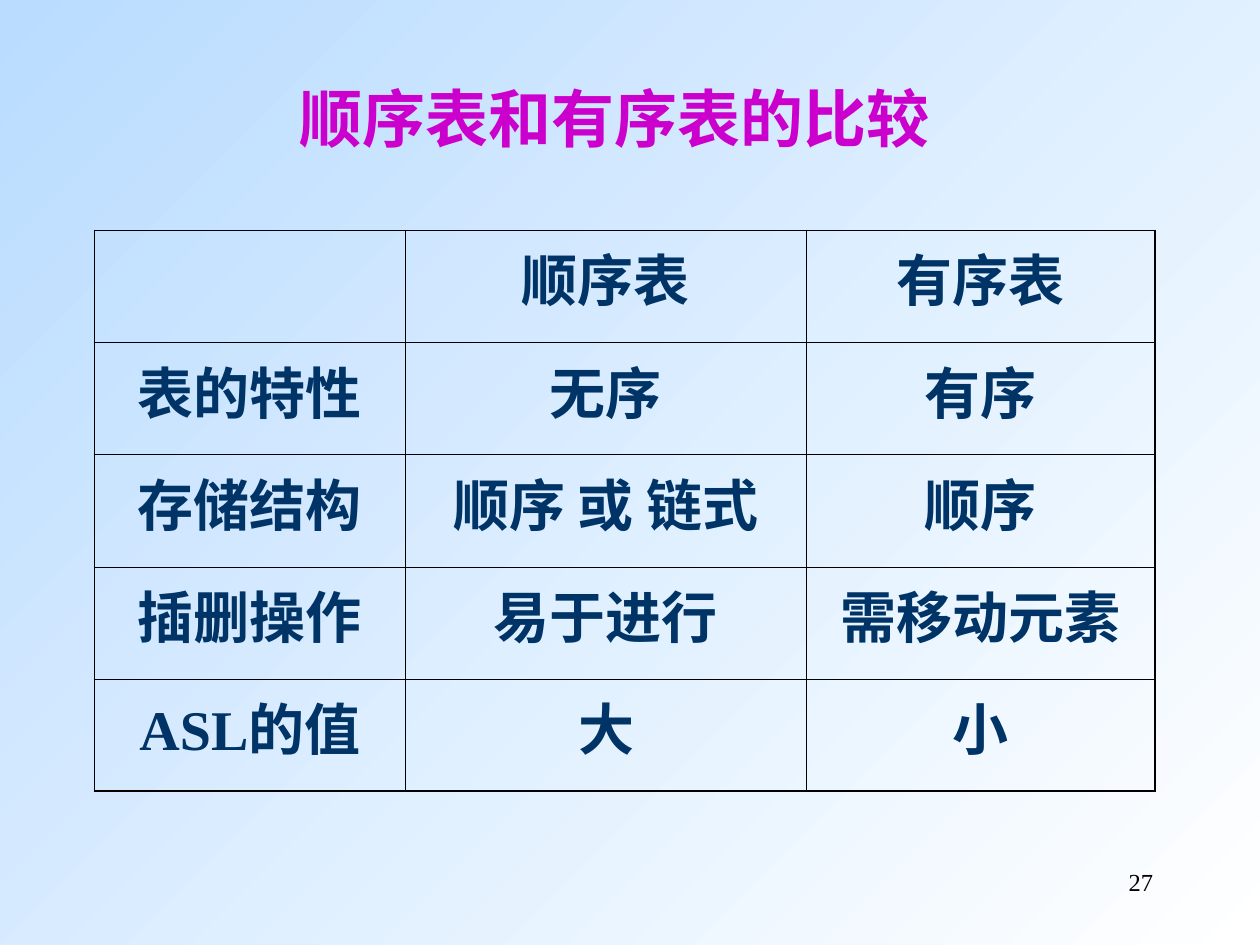
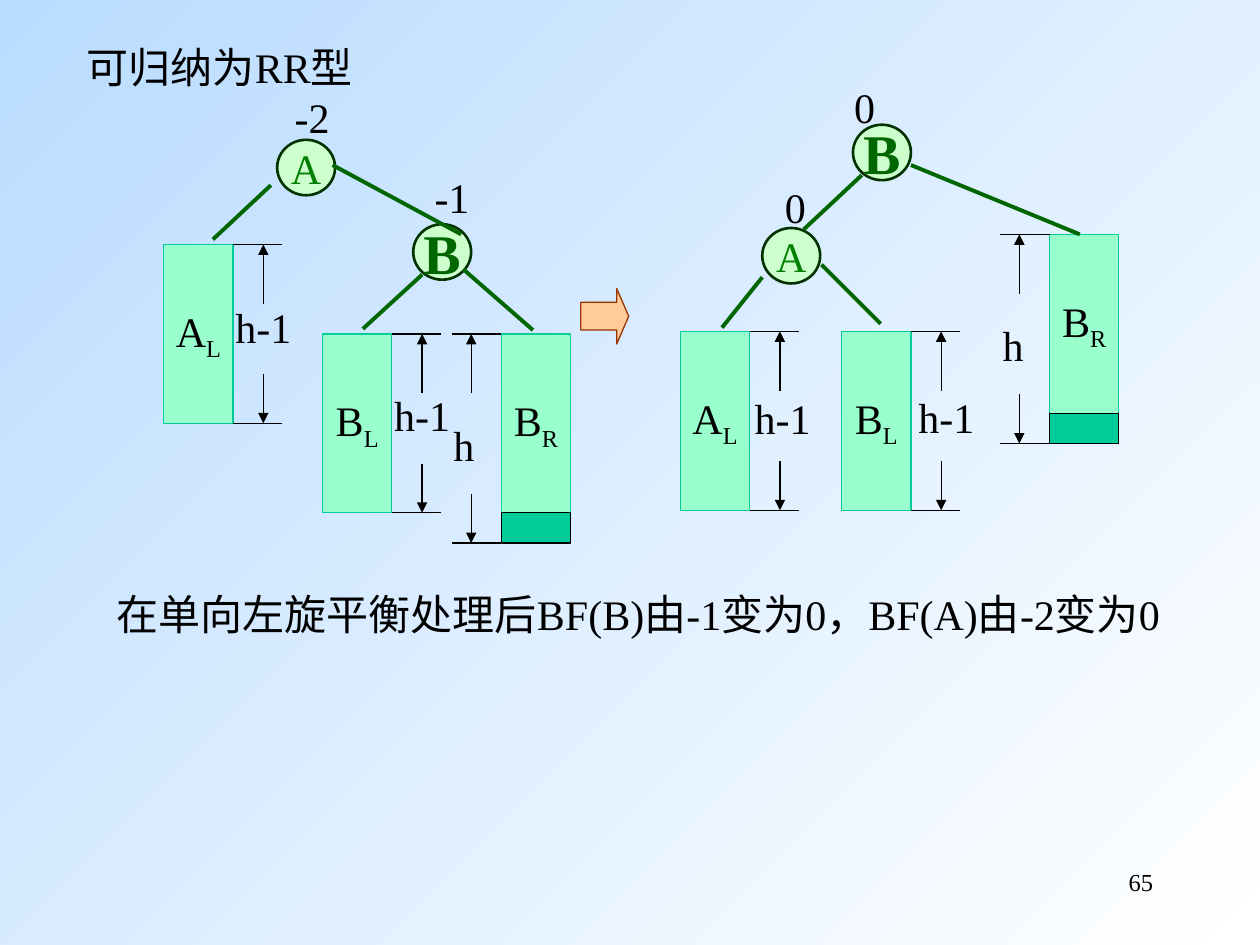
"""Build two slides: a list comparison table and an RR tree rotation."""
from lxml import etree
from pptx import Presentation
from pptx.dml.color import RGBColor
from pptx.enum import shapes, text
from pptx.oxml import ns
from pptx.util import Inches, Pt

FONT = "Times New Roman"
BLACK = RGBColor(0x00, 0x00, 0x00)
SKY = RGBColor(0xB9, 0xDC, 0xFF)
WHITE = RGBColor(0xFF, 0xFF, 0xFF)
PINK = RGBColor(0xCC, 0x00, 0xCC)
NAVY = RGBColor(0x00, 0x33, 0x66)
LEAF = RGBColor(0x00, 0x80, 0x00)
GREEN = RGBColor(0x00, 0x66, 0x00)
DARK = RGBColor(0x00, 0x33, 0x00)
PALE = RGBColor(0xCC, 0xFF, 0xCC)
MINT = RGBColor(0x99, 0xFF, 0xCC)
TEAL = RGBColor(0x00, 0xCC, 0x99)
PEACH = RGBColor(0xFF, 0xCC, 0x99)
RUST = RGBColor(0x99, 0x33, 0x00)

TITLE = "顺序表和有序表的比较"
ROWS = [
    ("", "顺序表", "有序表"),
    ("表的特性", "无序", "有序"),
    ("存储结构", "顺序 或 链式", "顺序"),
    ("插删操作", "易于进行", "需移动元素"),
    ("ASL的值", "大", "小"),
]
COLS = (2.47, 3.18, 2.77)
ROW_H = 0.89
THICK, THIN = 1.08, 0.45

HEAD = "可归纳为RR型"
NOTE = "在单向左旋平衡处理后BF(B)由-1变为0，BF(A)由-2变为0"
NODES = [("A", 2.2, 1.11), ("B", 3.28, 1.78), ("A", 6.05, 1.81), ("B", 6.77, 0.99)]
STYLES = {"A": (24, LEAF, False), "B": (32, GREEN, True)}
TOWERS = [
    ("A", "L", 1.3, 1.94),
    ("B", "L", 2.56, 2.65),
    ("B", "R", 3.98, 2.65),
    ("A", "L", 5.4, 2.63),
    ("B", "L", 6.68, 2.63),
    ("B", "R", 8.33, 1.86),
]
EDGES = [
    (2.15, 1.47, 1.69, 1.9), (3.66, 1.86, 2.64, 1.31),
    (3.35, 2.18, 2.88, 2.61), (4.23, 2.62, 3.68, 2.14),
    (6.84, 1.39, 6.38, 1.82), (8.57, 1.86, 7.23, 1.31),
    (5.73, 2.6, 6.05, 2.2), (6.99, 2.57, 6.52, 2.1),
]
LABELS = [
    ("-2", 2.24, 0.68, 0.71), ("-1", 3.35, 1.31, 0.71),
    ("0", 6.68, 0.6, 0.39), ("0", 6.13, 1.39, 0.39),
    ("h-1", 1.77, 2.34, 0.87), ("h-1", 3.03, 3.04, 0.94),
    ("h", 3.5, 3.28, 0.94), ("h-1", 5.89, 3.07, 0.94),
    ("h-1", 7.19, 3.06, 0.94), ("h", 7.86, 2.49, 0.94),
]
NODE_W, NODE_H = 0.46, 0.44
TOWER_W, TOWER_H, BASE_H = 0.55, 1.42, 0.24
TICK, STEM = 0.39, 0.24
DROP, RISE = 0.47, 0.39


def style(para, size, color=BLACK, bold=False, align=text.PP_ALIGN.LEFT):
    para.alignment = align
    for run in para.runs:
        font = run.font
        font.name, font.size, font.bold = FONT, Pt(size), bold
        font.color.rgb = color


def write(slide, words, x, y, w, h=0.5, size=24, **look):
    frame = slide.shapes.add_textbox(*map(Inches, (x, y, w, h))).text_frame
    frame.word_wrap = True
    frame.text = words
    style(frame.paragraphs[0], size, **look)


def draw(slide, kind, box, fill, edge, width=0.75):
    shape = slide.shapes.add_shape(kind, *map(Inches, box))
    shape.shadow.inherit = False
    shape.fill.solid()
    shape.fill.fore_color.rgb = fill
    shape.line.color.rgb = edge
    shape.line.width = Pt(width)
    return shape


def label(shape, words, size, color, bold=False, sub=""):
    frame = shape.text_frame
    frame.word_wrap = False
    frame.vertical_anchor = text.MSO_ANCHOR.MIDDLE
    frame.text = words
    para = frame.paragraphs[0]
    if sub:
        run = para.add_run()
        run.text = sub
        run._r.get_or_add_rPr().set("baseline", "-25000")
    style(para, size, color, bold, text.PP_ALIGN.CENTER)


def link(slide, ends, color=BLACK, width=0.75, arrow=False):
    line = slide.shapes.add_connector(
        shapes.MSO_CONNECTOR.STRAIGHT, *map(Inches, ends))
    line.line.color.rgb = color
    line.line.width = Pt(width)
    if arrow:
        etree.SubElement(line.line._get_or_add_ln(), ns.qn("a:tailEnd"), type="triangle")
    etree.SubElement(line._element.spPr, ns.qn("a:effectLst"))


def border(cell, widths):
    props = cell._tc.get_or_add_tcPr()
    for i, (side, width) in enumerate(zip("LRTB", widths)):
        line = etree.Element(ns.qn("a:ln" + side), w=str(Pt(width)))
        fill = etree.SubElement(line, ns.qn("a:solidFill"))
        etree.SubElement(fill, ns.qn("a:srgbClr"), val=str(BLACK))
        props.insert(i, line)


def page(deck, number):
    slide = deck.slides.add_slide(deck.slide_layouts[6])
    fill = slide.background.fill
    fill.gradient()
    fill.gradient_angle = 315
    for stop, color, place in zip(fill.gradient_stops, (SKY, WHITE), (0, 1)):
        stop.color.rgb = color
        stop.position = place
    write(slide, number, 7.17, 6.83, 2.08, size=14, align=text.PP_ALIGN.RIGHT)
    return slide


def compare(slide):
    box = map(Inches, (0.75, 1.83, sum(COLS), ROW_H * len(ROWS)))
    table = slide.shapes.add_table(len(ROWS), len(COLS), *box).table
    table.first_row = table.horz_banding = False
    for col, width in zip(table.columns, COLS):
        col.width = Inches(width)
    for r, row in enumerate(ROWS):
        table.rows[r].height = Inches(ROW_H)
        for c, words in enumerate(row):
            cell = table.cell(r, c)
            cell.fill.background()
            cell.text = words
            style(cell.text_frame.paragraphs[0], 32, NAVY, True, text.PP_ALIGN.CENTER)
            outer = (c == 0, c == len(COLS) - 1, r == 0, r == len(ROWS) - 1)
            border(cell, [THICK if out else THIN for out in outer])
    write(slide, TITLE, 2.25, 0.58, 5.25, 0.7, 36, color=PINK, bold=True,
          align=text.PP_ALIGN.CENTER)


def tower(slide, name, side, x, y):
    kind = shapes.MSO_SHAPE.RECTANGLE
    block = draw(slide, kind, (x, y, TOWER_W, TOWER_H), MINT, TEAL)
    label(block, name, 24, BLACK, sub=side)
    end = y + TOWER_H
    left, stem = x + TOWER_W, x + TOWER_W + STEM
    if side == "R":
        draw(slide, kind, (x, end, TOWER_W, BASE_H), TEAL, BLACK)
        end += BASE_H
        left, stem = x - TICK, x - STEM
    for level in (y, end):
        link(slide, (left, level, left + TICK, level))
    link(slide, (stem, y + DROP, stem, y), arrow=True)
    link(slide, (stem, end - RISE, stem, end), arrow=True)


def rotate(slide):
    write(slide, HEAD, 0.59, 0.28, 2.99)
    for name, x, y in NODES:
        node = draw(slide, shapes.MSO_SHAPE.OVAL, (x, y, NODE_W, NODE_H), PALE, DARK, 1.5)
        label(node, name, *STYLES[name])
    for item in TOWERS:
        tower(slide, *item)
    for ends in EDGES:
        link(slide, ends, GREEN, 2.25)
    arrow = draw(slide, shapes.MSO_SHAPE.RIGHT_ARROW, (4.61, 2.29, 0.38, 0.44), PEACH, RUST)
    arrow.adjustments[0], arrow.adjustments[1] = 0.5, 0.25
    for item in LABELS:
        write(slide, *item)
    write(slide, NOTE, 0.83, 4.62, 8.58, 0.9)


def main():
    deck = Presentation()
    deck.slide_width, deck.slide_height = Inches(10), Inches(7.5)
    compare(page(deck, "27"))
    rotate(page(deck, "65"))
    deck.save("out.pptx")


if __name__ == "__main__":
    main()
